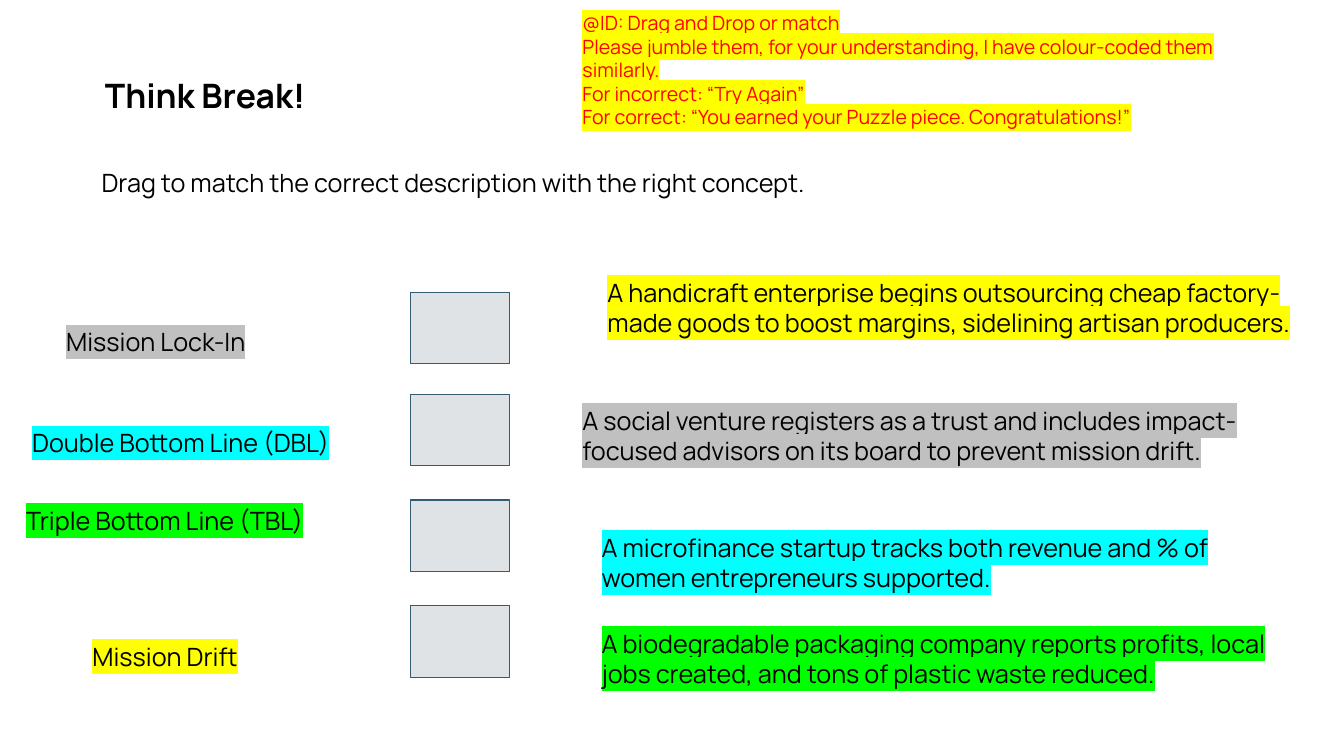
from lxml import etree
from pptx import Presentation
from pptx import util as u
from pptx.dml.color import RGBColor
from pptx.enum import shapes, text
from pptx.oxml import ns

COLOURS = {
    "ink": "000000",
    "alert": "FF0000",
    "yellow": "FFFF00",
    "grey": "C0C0C0",
    "cyan": "00FFFF",
    "green": "00FF00",
    "target": "DFE3E5",
    "edge": "335B74",
}
FONT = "Manrope"

NOTE = [
    "@ID: Drag and Drop or match",
    "Please jumble them, for your understanding, I have colour-coded them similarly.",
    "For incorrect: “Try Again”",
    "For correct: “You earned your Puzzle piece. Congratulations!”",
]
CONCEPTS = [
    ("Mission Lock-In", "grey", 1.01, 0.73, 8.66),
    ("Double Bottom Line (DBL)", "cyan", 0.15, 3.27, 11.68),
    ("Triple Bottom Line (TBL)", "green", 0, 5.23, 11.51),
    ("Mission Drift", "yellow", 1.67, 8.66, 5.38),
]
DESCRIPTIONS = [
    ("A handicraft enterprise begins outsourcing cheap factory-made goods "
     "to boost margins, sidelining artisan producers.", "yellow", 0.63, 0),
    ("A social venture registers as a trust and includes impact-focused "
     "advisors on its board to prevent mission drift.", "grey", 0, 3.22),
    ("A microfinance startup tracks both revenue and % of women "
     "entrepreneurs supported.", "cyan", 0.48, 6.42),
    ("A biodegradable packaging company reports profits, local jobs created, "
     "and tons of plastic waste reduced.", "green", 0.48, 8.84),
]
TARGET_TOPS = [0, 2.56, 5.23, 7.9]


def rgb(name):
    """Return the named colour."""
    return RGBColor.from_string(COLOURS[name])


def write(frame, lines, size=18, colour="ink", bold=False, highlight=None):
    """Fill a text frame with one formatted paragraph per line."""
    frame.word_wrap = True
    frame.auto_size = text.MSO_AUTO_SIZE.NONE
    frame.vertical_anchor = text.MSO_ANCHOR.TOP
    for index, line in enumerate(lines):
        para = frame.add_paragraph() if index else frame.paragraphs[0]
        para.alignment = text.PP_ALIGN.LEFT
        span = para.add_run()
        span.text = line
        span.font.size = u.Pt(size)
        span.font.bold = bold
        span.font.color.rgb = rgb(colour)
        if highlight:
            mark = etree.SubElement(span.font._element, ns.qn("a:highlight"))
            etree.SubElement(mark, ns.qn("a:srgbClr"), val=COLOURS[highlight])
        span.font.name = FONT


def add_text(page, box, lines, **style):
    """Add a text box at the given left, top, width and height."""
    holder = page.shapes.add_textbox(*map(u.Cm, box))
    write(holder.text_frame, lines, **style)


def add_header(page, box):
    """Place the title, the designer's note and the instruction."""
    left, top, width, height = box
    title = page.shapes.title
    title.left, title.top = u.Cm(left + 0.08), u.Cm(top + 1.6)
    title.width, title.height = u.Cm(19.91), u.Cm(1.27)
    write(title.text_frame, ["Think Break!"], size=24, bold=True)
    add_text(page, (left + 12.12, top, 17.53, 3.25), NOTE,
             size=14, colour="alert", highlight="yellow")
    add_text(page, (left, top + height - 1.02, width, 1.02),
             ["Drag to match the correct description with the right concept."])


def add_concepts(page, box):
    """Place the concept labels."""
    left, top = box
    for name, colour, shift, drop, width in CONCEPTS:
        add_text(page, (left + shift, top + drop, width, 1.02), [name], highlight=colour)


def add_targets(page, box):
    """Place the column of empty drop targets."""
    left, top, width, height = box
    for drop in TARGET_TOPS:
        target = page.shapes.add_shape(
            shapes.MSO_SHAPE.RECTANGLE, *map(u.Cm, (left, top + drop, width, height)))
        target.shadow.inherit = False
        target.fill.solid()
        target.fill.fore_color.rgb = rgb("target")
        target.line.color.rgb = rgb("edge")
        target.line.width = u.Pt(0.75)


def add_descriptions(page, box):
    """Place the colour-coded descriptions."""
    left, top, width, height = box
    for wording, colour, shift, drop in DESCRIPTIONS:
        add_text(page, (left + shift, top + drop, width, height), [wording], highlight=colour)


def main():
    """Build and save the matching exercise."""
    deck = Presentation()
    deck.slide_width, deck.slide_height = u.Cm(33.87), u.Cm(19.05)
    page = deck.slides.add_slide(deck.slide_layouts[5])
    add_header(page, (2.31, 0.15, 29.21, 4.96))
    add_concepts(page, (0.41, 7.37))
    add_targets(page, (10.34, 7.37, 2.51, 1.8))
    add_descriptions(page, (14.43, 6.86, 17.81, 1.8))
    deck.save("out.pptx")


if __name__ == "__main__":
    main()
